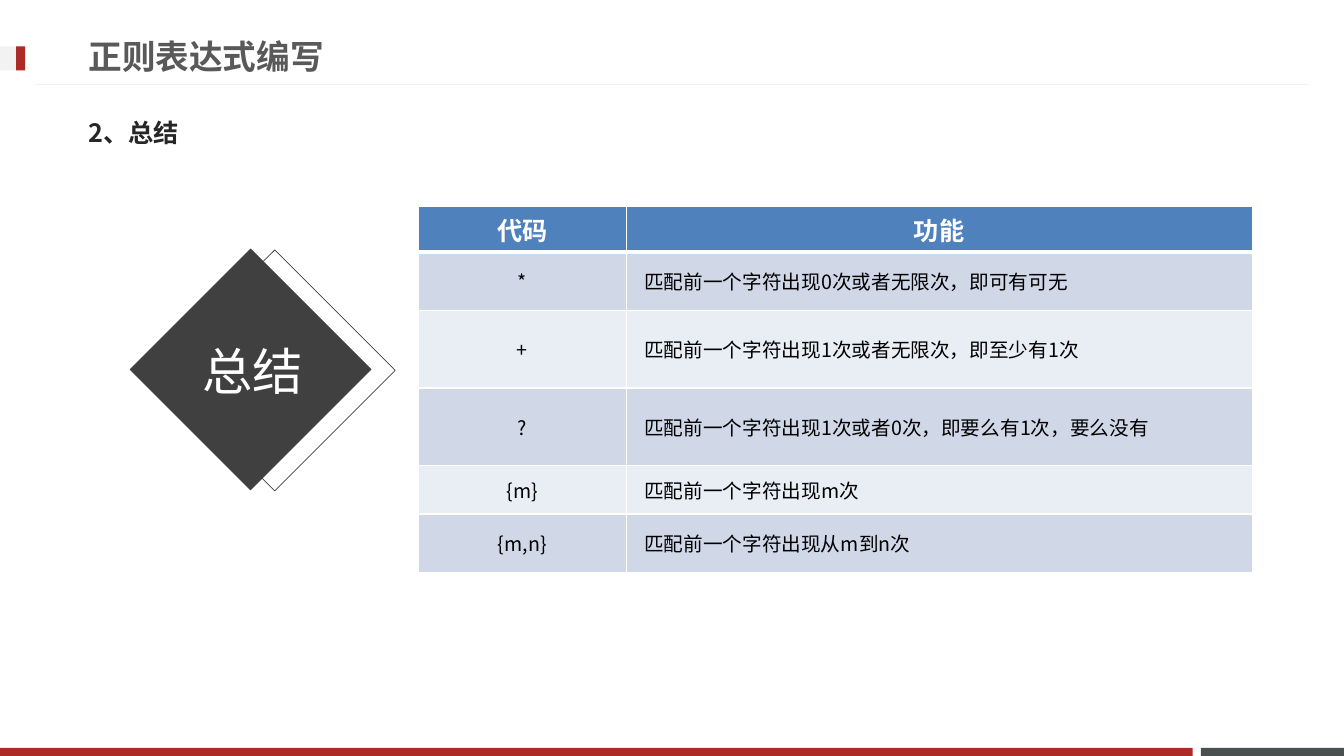
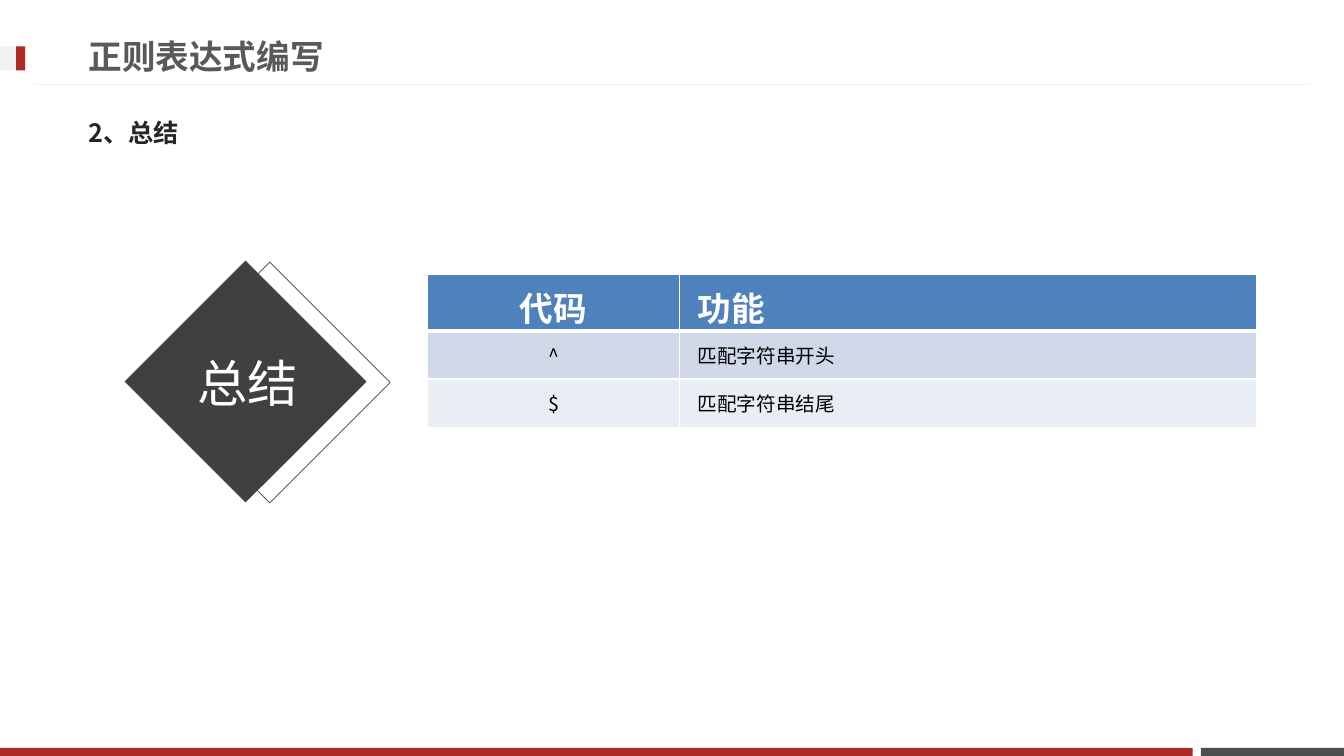
from dataclasses import dataclass

from lxml import etree
from pptx import Presentation
from pptx.dml.color import RGBColor
from pptx.enum.shapes import MSO_CONNECTOR, MSO_SHAPE
from pptx.enum.text import MSO_ANCHOR, PP_ALIGN
from pptx.oxml.ns import qn
from pptx.util import Inches, Pt

RECTANGLE = MSO_SHAPE.RECTANGLE
STRAIGHT = MSO_CONNECTOR.STRAIGHT
TOP, MIDDLE = MSO_ANCHOR.TOP, MSO_ANCHOR.MIDDLE
LEFT, CENTER = PP_ALIGN.LEFT, PP_ALIGN.CENTER


@dataclass(frozen=True)
class Theme:
    red: str = "AD2B26"
    slate: str = "49504F"
    pale: str = "F2F2F2"
    title: str = "595959"
    subtitle: str = "262626"
    dark: str = "404040"
    white: str = "FFFFFF"
    black: str = "000000"
    header: str = "4F81BD"
    bands: tuple = ("D0D8E8", "E9EDF4")
    cjk_font: str = "Noto Sans CJK SC"
    title_font: str = "Arial"
    table_font: str = "Calibri"
    title_size: int = 24
    subtitle_size: int = 18
    badge_size: int = 36
    cell_size: int = 14


THEME = Theme()
SLIDE_WIDTH, SLIDE_HEIGHT = 13.33, 7.5
CELL_INSETS = (0.18, 0.08)
DEFAULT_INSETS = (0.1, 0.05)


def rgb(color):
    return RGBColor.from_string(color)


def set_insets(target, across, down):
    target.margin_left = target.margin_right = Inches(across)
    target.margin_top = target.margin_bottom = Inches(down)


def write_text(frame, text, *, size, color, font=THEME.cjk_font, bold=False,
               align=LEFT, line_spacing=None):
    paragraph = frame.paragraphs[0]
    paragraph.alignment = align
    if line_spacing:
        paragraph.line_spacing = line_spacing
    run = paragraph.add_run()
    run.text = text
    run.font.size = Pt(size)
    run.font.bold = bold
    run.font.color.rgb = rgb(color)
    run.font.name = font
    east_asian = etree.SubElement(run.font._element, qn("a:ea"))
    east_asian.set("typeface", THEME.cjk_font)


def add_text(slide, text, left, top, width, height, insets=DEFAULT_INSETS, **text_format):
    box = slide.shapes.add_textbox(Inches(left), Inches(top), Inches(width), Inches(height))
    frame = box.text_frame
    frame.word_wrap = True
    frame.vertical_anchor = MIDDLE
    set_insets(frame, *insets)
    write_text(frame, text, **text_format)


def add_rectangle(slide, left, top, width, height, fill=None, line=None, rotation=0):
    rectangle = slide.shapes.add_shape(
        RECTANGLE, Inches(left), Inches(top), Inches(width), Inches(height))
    rectangle.shadow.inherit = False
    rectangle.rotation = rotation
    if fill:
        rectangle.fill.solid()
        rectangle.fill.fore_color.rgb = rgb(fill)
    else:
        rectangle.fill.background()
    if line:
        rectangle.line.color.rgb = rgb(line)
        rectangle.line.width = Pt(0.5)
    else:
        rectangle.line.fill.background()


def add_rule(slide, start, end, y):
    rule = slide.shapes.add_connector(
        STRAIGHT, Inches(start), Inches(y), Inches(end), Inches(y))
    rule.line.color.rgb = rgb(THEME.pale)
    rule.line.width = Pt(0.75)
    etree.SubElement(rule._element.spPr, qn("a:effectLst"))


def add_frame(slide, title, subtitle):
    """Add the bands, title marker, rule and headings that every slide shares."""
    band_height = 0.08
    band_top = SLIDE_HEIGHT - band_height
    slate_left = 11.91
    add_rectangle(slide, slate_left, band_top, SLIDE_WIDTH - slate_left, band_height,
                  THEME.slate)
    add_rectangle(slide, 0, band_top, 11.83, band_height, THEME.red)
    add_rule(slide, 0.35, 12.98, 0.84)
    add_rectangle(slide, 0, 0.46, 0.25, 0.24, THEME.pale)
    add_rectangle(slide, 0.16, 0.46, 0.09, 0.24, THEME.red)
    add_text(slide, title, 0.78, 0.27, 9.59, 0.57, size=THEME.title_size,
             color=THEME.title, font=THEME.title_font, bold=True)
    add_text(slide, subtitle, 0.78, 1.03, 11.76, 0.57, size=THEME.subtitle_size,
             color=THEME.subtitle, bold=True)


def add_diamond_badge(slide, label, left, top):
    """Add a dark diamond with an outlined one behind; left, top precede rotation."""
    side, label_width, label_height = 1.69, 4.19, 0.89
    add_rectangle(slide, left + 0.24, top + 0.01, side, side,
                  line=THEME.dark, rotation=45)
    add_rectangle(slide, left, top, side, side, THEME.dark, THEME.dark, rotation=45)
    add_text(slide, label, left + (side - label_width) / 2 + 0.02, top + 0.45,
             label_width, label_height, insets=(0.07, 0.04), size=THEME.badge_size,
             color=THEME.white, align=CENTER, line_spacing=0.9)


def set_borders(cell, bottom_width):
    properties = cell._tc.get_or_add_tcPr()
    for side, width in (("L", 1), ("R", 1), ("T", 1), ("B", bottom_width)):
        border = etree.SubElement(properties, qn(f"a:ln{side}"), w=str(Pt(width)))
        solid = etree.SubElement(border, qn("a:solidFill"))
        etree.SubElement(solid, qn("a:srgbClr"), val=THEME.white)


def fill_cell(cell, text, fill, *, insets=CELL_INSETS, anchor=MIDDLE, bottom_width=1,
              **text_format):
    set_borders(cell, bottom_width)
    cell.fill.solid()
    cell.fill.fore_color.rgb = rgb(fill)
    cell.vertical_anchor = anchor
    set_insets(cell, *insets)
    write_text(cell.text_frame, text, **text_format)


def add_code_table(slide, entries, left, top, column_widths, row_heights,
                   function_align, **header_format):
    """Add a table of codes and functions; header_format styles its first row."""
    table = slide.shapes.add_table(
        len(row_heights), len(column_widths), Inches(left), Inches(top),
        Inches(sum(column_widths)), Inches(sum(row_heights))).table
    table.horz_banding = False
    for column, width in zip(table.columns, column_widths):
        column.width = Inches(width)
    for row, height in zip(table.rows, row_heights):
        row.height = Inches(height)

    headings = (("代码", CENTER), ("功能", function_align))
    for column, (heading, align) in enumerate(headings):
        fill_cell(table.cell(0, column), heading, THEME.header, bottom_width=3,
                  color=THEME.white, bold=True, align=align, **header_format)
    for index, entry in enumerate(entries):
        band = THEME.bands[index % len(THEME.bands)]
        for column, (text, align) in enumerate(zip(entry, (CENTER, LEFT))):
            fill_cell(table.cell(index + 1, column), text, band, size=THEME.cell_size,
                      color=THEME.black, align=align)


def add_summary_slide(presentation, badge_position):
    slide = presentation.slides.add_slide(presentation.slide_layouts[6])
    add_frame(slide, "正则表达式编写", "2、总结")
    add_diamond_badge(slide, "总结", *badge_position)
    return slide


def main():
    presentation = Presentation()
    presentation.slide_width = Inches(SLIDE_WIDTH)
    presentation.slide_height = Inches(SLIDE_HEIGHT)

    quantifiers = [
        ("*", "匹配前一个字符出现0次或者无限次，即可有可无"),
        ("+", "匹配前一个字符出现1次或者无限次，即至少有1次"),
        ("?", "匹配前一个字符出现1次或者0次，即要么有1次，要么没有"),
        ("{m}", "匹配前一个字符出现m次"),
        ("{m,n}", "匹配前一个字符出现从m到n次"),
    ]
    slide = add_summary_slide(presentation, (1.64, 2.82))
    add_code_table(slide, quantifiers, 4.15, 2.05, (2.06, 6.21),
                   (0.45, 0.58, 0.77, 0.77, 0.48, 0.58), CENTER,
                   size=18, font=THEME.table_font, insets=DEFAULT_INSETS, anchor=TOP)

    anchors = [("^", "匹配字符串开头"), ("$", "匹配字符串结尾")]
    slide = add_summary_slide(presentation, (1.59, 2.94))
    add_code_table(slide, anchors, 4.24, 2.72, (2.5, 5.72), (0.48,) * 3, LEFT, size=24)

    presentation.save("out.pptx")


if __name__ == "__main__":
    main()
